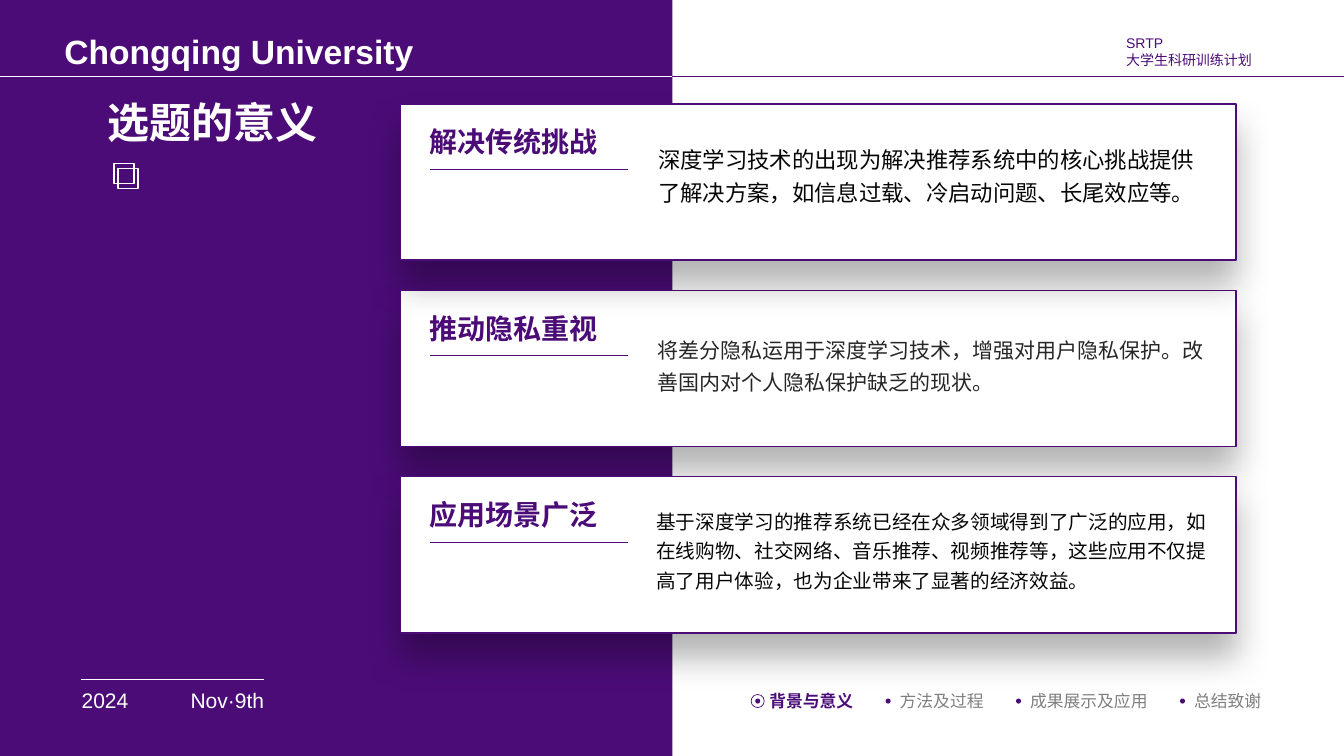
from lxml.etree import SubElement
from pptx import Presentation
from pptx.dml.color import RGBColor
from pptx.enum.shapes import MSO_CONNECTOR, MSO_SHAPE
from pptx.enum.text import MSO_AUTO_SIZE, PP_ALIGN
from pptx.oxml.ns import qn
from pptx.util import Inches, Pt

PURPLE = RGBColor(0x4B, 0x0C, 0x77)
WHITE = RGBColor(0xFF, 0xFF, 0xFF)
GRAY = RGBColor(0x80, 0x80, 0x80)
CHARCOAL = RGBColor(0x26, 0x26, 0x26)
INK = RGBColor(0x06, 0x06, 0x07)

CARD_TOP, CARD_PITCH = 1.03, 1.85
CARDS = [
    (1, "推动隐私重视", "将差分隐私运用于深度学习技术，增强对用户隐私保护。改善国内对个人隐私保护缺乏的现状。",
     (6.52, 3.29, 5.48, 0.59), 15, "Arial", CHARCOAL),
    (2, "应用场景广泛", "基于深度学习的推荐系统已经在众多领域得到了广泛的应用，如在线购物、社交网络、音乐推荐、视频推荐等，"
     "这些应用不仅提高了用户体验，也为企业带来了显著的经济效益。",
     (6.51, 5, 5.48, 0.84), 14, "Lato", INK),
    (0, "解决传统挑战", "深度学习技术的出现为解决推荐系统中的核心挑战提供了解决方案，如信息过载、冷启动问题、长尾效应等。",
     (6.53, 1.38, 5.47, 0.63), 16, "Lato", INK),
]
SECTIONS = ["背景与意义", "方法及过程", "成果展示及应用", "总结致谢"]


def apply(target, values):
    for name, value in values.items():
        setattr(target, name, value)


class SlideBuilder:
    def __init__(self, slide, font="Arial"):
        self.shapes = slide.shapes
        self.font = font

    def shape(self, box, kind=MSO_SHAPE.RECTANGLE, fill=None, line=None, width=1):
        shape = self.shapes.add_shape(kind, *map(Inches, box))
        shape.shadow.inherit = False
        if fill is None:
            shape.fill.background()
        else:
            shape.fill.solid()
            shape.fill.fore_color.rgb = fill
        if line is None:
            shape.line.fill.background()
        else:
            shape.line.color.rgb = line
            shape.line.width = Pt(width)
        return shape

    def card(self, box):
        card = self.shape(box, fill=WHITE, line=PURPLE)
        effects = card._element.spPr.find(qn("a:effectLst"))
        shadow = SubElement(effects, qn("a:outerShdw"), blurRad=str(Pt(25)),
                            dist=str(Pt(16)), dir="5400000", algn="t", rotWithShape="0")
        black = SubElement(shadow, qn("a:srgbClr"), val="000000")
        SubElement(black, qn("a:alpha"), val="30000")

    def rule(self, left, right, top, color, width):
        rule = self.shapes.add_connector(
            MSO_CONNECTOR.STRAIGHT, *map(Inches, (left, top, right, top)))
        rule.line.color.rgb = color
        rule.line.width = Pt(width)
        SubElement(rule._element.spPr, qn("a:effectLst"))

    def text(self, box, lines, size, color, bold=False, font=None, wrap=False,
             grow=True, inset=(0, 0), align=PP_ALIGN.LEFT, spacing=None):
        frame = self.shapes.add_textbox(*map(Inches, box)).text_frame
        side, edge = map(Inches, inset)
        apply(frame, {
            "margin_left": side, "margin_right": side,
            "margin_top": edge, "margin_bottom": edge, "word_wrap": wrap,
            "auto_size": MSO_AUTO_SIZE.SHAPE_TO_FIT_TEXT if grow else MSO_AUTO_SIZE.NONE,
        })
        for index, line in enumerate(lines):
            paragraph = frame.add_paragraph() if index else frame.paragraphs[0]
            apply(paragraph, {"alignment": align, "line_spacing": spacing})
            run = paragraph.add_run()
            run.text = line
            apply(run.font, {"name": font or self.font, "size": Pt(size), "bold": bold})
            run.font.color.rgb = color


def build_frame(builder):
    builder.shape((0, 0, 6.67, 7.5), fill=PURPLE)
    builder.rule(0.8, 2.62, 6.74, WHITE, 0.5)
    builder.text((0.54, 0.26, 3.94, 0.5), ["Chongqing University"], 24, WHITE,
                 bold=True, wrap=True, inset=(0.1, 0.05))
    builder.text((11.17, 0.34, 1.36, 0.34), ["SRTP", "大学生科研训练计划"], 10, PURPLE, grow=False)
    builder.rule(6.67, 13.33, 0.76, PURPLE, 1)
    builder.rule(0, 6.67, 0.76, WHITE, 1)
    builder.text((0.81, 6.82, 0.47, 0.25), ["2024"], 15, WHITE)
    builder.text((1.88, 6.82, 0.74, 0.25), ["Nov·9th"], 15, WHITE, align=PP_ALIGN.RIGHT)
    builder.text((1.07, 0.96, 2.11, 0.5), ["选题的意义"], 30, WHITE, bold=True)


def build_navigation(builder):
    left = 7.63
    for index, section in enumerate(SECTIONS):
        current = index == 0
        width = len(section) / 6
        builder.text((left, 6.85, width, 0.2), [section], 12,
                     PURPLE if current else GRAY, bold=current)
        builder.shape((left - 0.14, 6.93, 0.05, 0.05), MSO_SHAPE.OVAL, fill=PURPLE)
        if current:
            builder.shape((left - 0.18, 6.89, 0.13, 0.13), MSO_SHAPE.OVAL,
                          line=PURPLE, width=0.5)
        left += width + 0.46


def build_cards(builder):
    for row, heading, body, body_box, size, font, color in CARDS:
        top = CARD_TOP + row * CARD_PITCH
        builder.card((3.97, top, 8.29, 1.55))
        builder.text((4.26, top + 0.21, 1.69, 0.34), [heading], 20, PURPLE,
                     bold=True, font=font)
        builder.text(body_box, [body], size, color, font=font, wrap=True, spacing=1.25)
        builder.rule(4.26, 6.23, top + 0.65, PURPLE, 0.5)


def main():
    deck = Presentation()
    apply(deck, {"slide_width": Inches(13.33), "slide_height": Inches(7.5)})
    builder = SlideBuilder(deck.slides.add_slide(deck.slide_layouts[6]))
    build_frame(builder)
    build_navigation(builder)
    build_cards(builder)
    for left, top in ((1.13, 1.62), (1.17, 1.67)):
        builder.shape((left, top, 0.2, 0.2), line=WHITE)
    deck.save("out.pptx")


if __name__ == "__main__":
    main()
